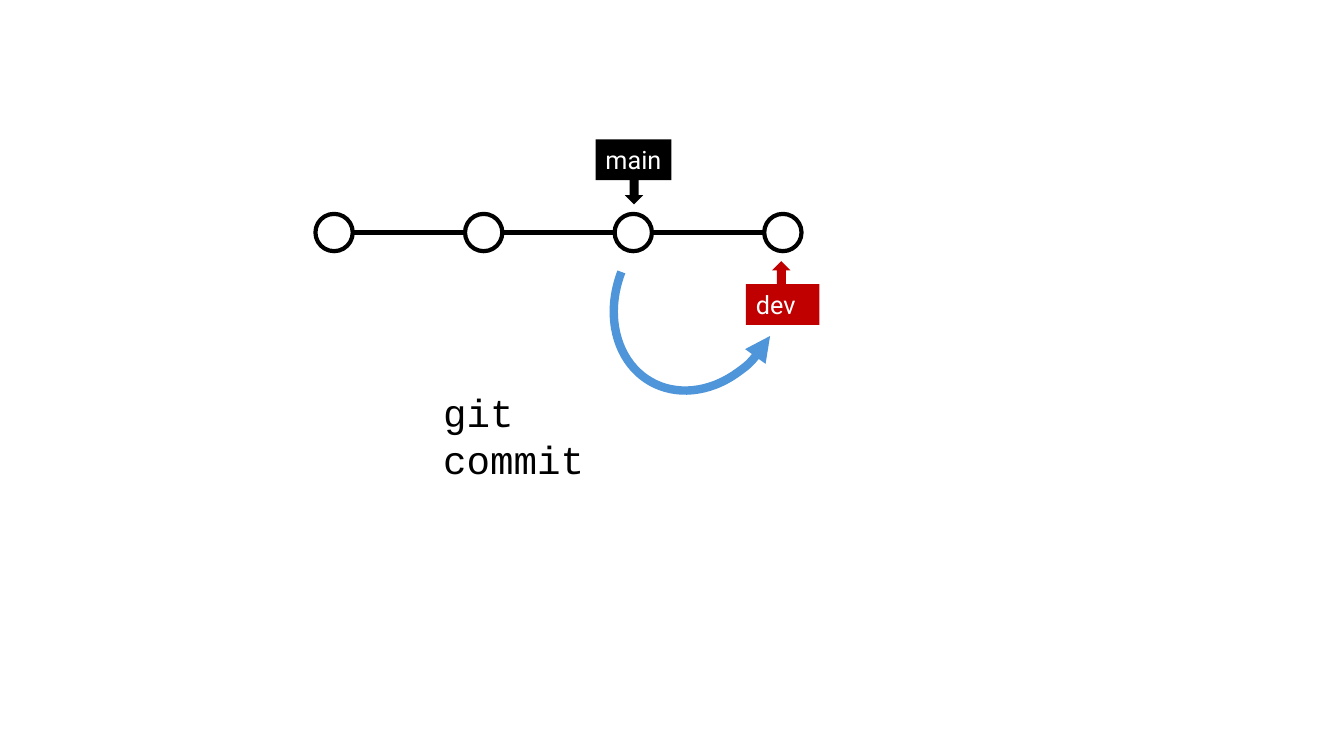
from pptx import Presentation
from pptx.dml.color import RGBColor
from pptx.enum.shapes import MSO_CONNECTOR as CONN, MSO_SHAPE as SHAPE
from pptx.enum.text import MSO_ANCHOR as ANCHOR, PP_ALIGN as ALIGN
from pptx.oxml.ns import qn
from pptx.util import Cm, Pt
from lxml.etree import SubElement


def rgb(value):
    return RGBColor.from_string(value)


class CommitGraph:
    """Draws a commit history with branch labels on one slide."""

    BLACK, WHITE, RED, BLUE = "000000", "FFFFFF", "C00000", "4E95D9"
    LABEL_FONT, CODE_FONT = "Roboto", "Courier New"
    NODE, LABEL_H, ARROW_W, ARROW_H = 0.94, 1.03, 0.46, 1.24

    def __init__(self, slide):
        self.s = slide

    def shape(self, kind, x, y, w, h, fill=None, line=None, width=3):
        sp = self.s.shapes.add_shape(kind, Cm(x), Cm(y), Cm(w), Cm(h))
        sp.shadow.inherit = False
        if fill:
            sp.fill.solid()
            sp.fill.fore_color.rgb = rgb(fill)
        else:
            sp.fill.background()
        if line:
            sp.line.color.rgb = rgb(line)
            sp.line.width = Pt(width)
        else:
            sp.line.fill.background()
        return sp

    def set_text(self, sp, text, font, size, color):
        tf = sp.text_frame
        tf.word_wrap = True
        tf.vertical_anchor = ANCHOR.TOP
        tf.margin_right = 0
        p = tf.paragraphs[0]
        p.text = text
        p.alignment = ALIGN.LEFT
        p.font.name, p.font.size = font, Pt(size)
        p.font.color.rgb = rgb(color)

    def pointer(self, x, y, fill, rotation=0):
        sp = self.shape(SHAPE.DOWN_ARROW, x, y, self.ARROW_W, self.ARROW_H, fill)
        sp.rotation = rotation

    def label(self, text, x, y, w, fill):
        sp = self.shape(SHAPE.RECTANGLE, x, y, w, self.LABEL_H, fill)
        self.set_text(sp, text, self.LABEL_FONT, 18, self.WHITE)

    def command(self, text, x, y, w, h):
        sp = self.s.shapes.add_textbox(Cm(x), Cm(y), Cm(w), Cm(h))
        self.set_text(sp, text, self.CODE_FONT, 28, self.BLACK)

    def history(self, x, y, pitch, count):
        r = self.NODE / 2
        end = x + pitch * (count - 1)
        line = self.s.shapes.add_connector(
            CONN.STRAIGHT, Cm(x + r), Cm(y + r), Cm(end + r), Cm(y + r))
        line.line.color.rgb = rgb(self.BLACK)
        line.line.width = Pt(3)
        SubElement(line._element.spPr, qn("a:effectLst"))
        for i in range(count):
            self.shape(SHAPE.OVAL, x + i * pitch, y, self.NODE, self.NODE,
                       self.WHITE, self.BLACK)

    def curve(self, x, y, w, h, rotation, start, end):
        sp = self.shape(SHAPE.ARC, x, y, w, h, line=self.BLUE, width=6)
        sp.rotation = rotation
        sp.adjustments[0], sp.adjustments[1] = start, end
        SubElement(sp.line._get_or_add_ln(), qn("a:headEnd"), type="triangle")


def main():
    prs = Presentation()
    prs.slide_width, prs.slide_height = Cm(33.87), Cm(19.05)
    graph = CommitGraph(prs.slides.add_slide(prs.slide_layouts[6]))
    graph.pointer(19.46, 6.58, graph.RED, 180)
    graph.label("dev", 18.8, 7.16, 1.85, graph.RED)
    graph.pointer(15.75, 3.91, graph.BLACK)
    graph.label("main", 15.01, 3.51, 1.91, graph.BLACK)
    graph.command("git commit", 10.92, 9.65, 5.8, 2.65)
    graph.history(7.95, 5.39, 3.77, 4)
    graph.curve(15.14, 5.41, 4.98, 4.09, 119.7, 162, 46.36)
    prs.save("out.pptx")


if __name__ == "__main__":
    main()
